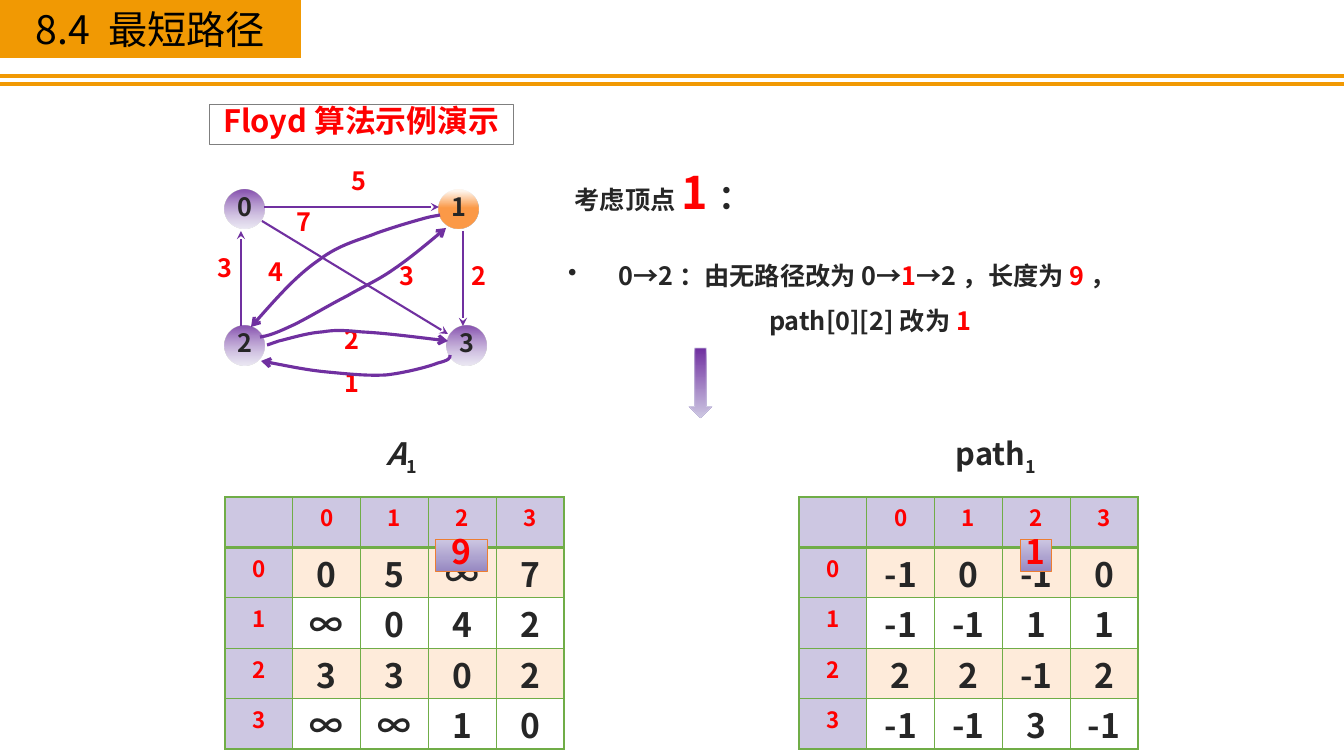
from lxml import etree
from pptx import Presentation
from pptx import util as u
from pptx.dml.color import RGBColor
from pptx.enum import shapes as kinds, text as tx
from pptx.oxml.ns import qn

PX = 12192000 / 1344
FONT = "Noto Sans CJK SC"
RED, INK, PLUM, LILAC = "FF0000", "262626", "7030A0", "CDC7E2"
GOLD, PEACH, GREEN = "F19903", "FC9A48", "70AD47"
NODE = ((5, PLUM, 80), (100, LILAC, 40))
FOCUS = ((5, PEACH, 10), (47, PEACH, 100))
PATCH = ((0, LILAC, 100), (100, "9789C2", 100))
FADE = ((0, PLUM, 100), (100, LILAC, 100))

NODES = [("0", 25, 24, NODE), ("1", 239, 24, FOCUS),
         ("2", 25, 160, NODE), ("3", 247, 160, NODE)]
EDGES = [(64, 41, 239, 41), (41, 160, 41, 65),
         (62, 55, 248, 168), (263, 65, 263, 160)]
COSTS = [("5", 135, 0), ("3", 1, 87), ("2", 255, 95), ("7", 80, 41),
         ("3", 183, 95), ("1", 128, 202), ("2", 128, 159), ("4", 52, 91)]
CURVES = [
    [(250, 189), (250, 192), (250, 194), (238, 197), (228, 201), (204, 207), (186, 209),
     (167, 210), (148, 208), (127, 206), (106, 204), (83, 199), (61, 195)],
    [(67, 179), (68, 179), (70, 178), (79, 175), (88, 173), (107, 167), (122, 166),
     (135, 164), (141, 164), (162, 166), (183, 167), (215, 171), (248, 175)],
    [(240, 49), (236, 50), (232, 50), (222, 53), (211, 56), (194, 61), (177, 67),
     (160, 74), (140, 78), (119, 94), (97, 109), (74, 135), (51, 161)],
    [(60, 171), (67, 170), (74, 168), (89, 161), (103, 155), (129, 139), (147, 130),
     (164, 120), (177, 115), (194, 103), (210, 92), (228, 77), (246, 62)],
]
COST = ["0 5 ∞ 7", "∞ 0 4 2", "3 3 0 2", "∞ ∞ 1 0"]
PREV = ["-1 0 -1 0", "-1 -1 1 1", "2 2 -1 2", "-1 -1 3 -1"]


def px(*nums):
    return [u.Emu(round(n * PX)) for n in nums]


def color(code):
    return RGBColor.from_string(code)


def sub(node, tag, **attrs):
    return etree.SubElement(node, qn(tag), **attrs)


def style(run, size, code, bold=True):
    font = run.font
    font.size, font.bold, font.name = u.Pt(size), bold, FONT
    font.color.rgb = color(code)
    sub(run._r.get_or_add_rPr(), "a:ea", typeface=FONT)


def write(frame, runs, gap=0.8, inset=(10, 5, 10, 5), wrap=True, bold=True):
    frame.word_wrap = wrap
    (frame.margin_left, frame.margin_top,
     frame.margin_right, frame.margin_bottom) = px(*inset)
    para = frame.paragraphs[0]
    para.alignment, para.line_spacing = tx.PP_ALIGN.CENTER, gap
    for words, size, code in runs:
        run = para.add_run()
        run.text = words
        style(run, size, code, bold)
    return para


def label(slide, box, runs, **opts):
    area = slide.shapes.add_textbox(*px(*box))
    return write(area.text_frame, runs, **opts)


def shade(shape, stops):
    shape.fill.gradient()
    shape.fill.gradient_angle = 270
    for stop, (pos, code, alpha) in zip(shape.fill.gradient_stops, stops):
        stop.position = pos / 100
        stop.color.rgb = color(code)
        if alpha < 100:
            tint = stop._gs.find(qn("a:srgbClr"))
            sub(tint, "a:alpha", val=str(alpha * 1000))


def block(slide, kind, box, stops=None, edge=None):
    shape = slide.shapes.add_shape(kind, *px(*box))
    shape.shadow.inherit = False
    if stops:
        shade(shape, stops)
    else:
        shape.fill.background()
    if edge:
        shape.line.color.rgb, shape.line.width = color(edge), u.Pt(0.5)
    else:
        shape.line.fill.background()
    return shape


def stroke(shape, code, width, tip=None):
    shape.line.color.rgb, shape.line.width = color(code), u.Pt(width)
    if tip:
        sub(shape.line._get_or_add_ln(), "a:tailEnd", type=tip)


def link(slide, ends, code, width, tip=None):
    line = slide.shapes.add_connector(kinds.MSO_CONNECTOR.STRAIGHT, *px(*ends))
    stroke(line, code, width, tip)
    sub(line._element.spPr, "a:effectLst")


def bend(slide, left, top, points):
    first, *rest = [(left + x, top + y) for x, y in points]
    maker = slide.shapes.build_freeform(*first, scale=PX)
    maker.add_line_segments(rest, close=False)
    shape = maker.convert_to_shape()
    legs = shape._element.findall(".//" + qn("a:lnTo"))
    for n in range(0, len(legs), 3):
        curve = etree.Element(qn("a:cubicBezTo"))
        legs[n].addprevious(curve)
        for leg in legs[n:n + 3]:
            curve.append(leg[0])
            leg.getparent().remove(leg)
    shape.shadow.inherit = False
    shape.fill.background()
    stroke(shape, PLUM, 2.25, "arrow")


def header(slide):
    for y in (76, 84):
        link(slide, (0, y, 1344, y), GOLD, 3)
    title = slide.shapes.title
    title.left, title.top, title.width, title.height = px(0, 0, 301, 58)
    title.fill.solid()
    title.fill.fore_color.rgb = color(GOLD)
    frame = title.text_frame
    frame.vertical_anchor = tx.MSO_ANCHOR.TOP
    frame.auto_size = tx.MSO_AUTO_SIZE.NONE
    para = write(frame, [("8.4 最短路径", 28, "000000")],
                 inset=(6, 14, 6, 6), bold=False)
    para.space_before = u.Pt(0)


def graph(slide, left, top):
    for name, x, y, stops in NODES:
        disc = block(slide, kinds.MSO_SHAPE.OVAL, (left + x, top + y, 39, 39), stops)
        disc.text_frame.vertical_anchor = tx.MSO_ANCHOR.MIDDLE
        write(disc.text_frame, [(name, 18, INK)], wrap=False)
    for x, y, x2, y2 in EDGES:
        link(slide, (left + x, top + y, left + x2, top + y2), PLUM, 1.5, "stealth")
    for cost, x, y in COSTS:
        label(slide, (left + x, top + y, 47, 34), [(cost, 18, RED)])
    for points in CURVES:
        bend(slide, left, top, points)


def rule(cell, row):
    props = cell._tc.get_or_add_tcPr()
    for n, side in enumerate(("a:lnL", "a:lnR", "a:lnT", "a:lnB")):
        thick = 2 if (row, side) in ((0, "a:lnB"), (1, "a:lnT")) else 1
        line = etree.Element(qn(side), w=str(u.Pt(thick)))
        sub(sub(line, "a:solidFill"), "a:srgbClr", val=GREEN)
        props.insert(n, line)


def matrix(slide, left, top, rows, name, mid, wide, value, span):
    caption = label(slide, (left + mid - wide // 2, top - 63, wide, 40),
                    [(name, 22, INK), ("1", 22, INK)])
    caption.runs[0].font.italic = name == "A"
    caption.runs[1]._r.get_or_add_rPr().set("baseline", "-25000")
    width, height = px(339, 252)
    table = slide.shapes.add_table(5, 5, *px(left, top), width, height).table
    for col in table.columns:
        col.width = width // 5
    grid = [["", *"0123"]] + [[str(n), *row.split()] for n, row in enumerate(rows)]
    for r, words in enumerate(grid):
        table.rows[r].height = height // 5
        for c, word in enumerate(words):
            cell = table.cell(r, c)
            head = r == 0 or c == 0
            if head or r % 2:
                cell.fill.solid()
                cell.fill.fore_color.rgb = color(LILAC if head else "FEEBDA")
            else:
                cell.fill.background()
            rule(cell, r)
            (cell.margin_top, cell.margin_bottom) = px(4 if head else 1, 0)
            cell.text_frame.text = word
            para = cell.text_frame.paragraphs[0]
            para.alignment = tx.PP_ALIGN.CENTER
            for run in para.runs:
                style(run, 16 if head else 24, RED if head else INK)
    patch = block(slide, kinds.MSO_SHAPE.RECTANGLE,
                  (left + 236 - span // 2, top + 42, span, 32), PATCH, "ED7D31")
    patch.text_frame.vertical_anchor = tx.MSO_ANCHOR.TOP
    write(patch.text_frame, [(value, 24, RED)], inset=(0, 0, 0, 0))


def notes(slide, left, top):
    flat = (0, 0, 0, 0)
    label(slide, (left, top, 225, 43),
          [("考虑顶点", 18, INK), ("1", 32, RED), ("：", 24, INK)], inset=flat)
    parts = ["0→2：由无路径改为0→", "1", "→2，长度为", "9", "，path[0][2]改为", "1"]
    runs = [(part, 18, RED if n % 2 else INK) for n, part in enumerate(parts)]
    para = label(slide, (left + 16, top + 70, 556, 92), runs, gap=1.5, inset=flat)
    props = para._p.get_or_add_pPr()
    props.set("marL", "457200")
    props.set("indent", "-457200")
    sub(props, "a:buChar", char="•")
    block(slide, kinds.MSO_SHAPE.DOWN_ARROW, (left + 138, top + 173, 23, 70), FADE, LILAC)


def main():
    deck = Presentation()
    deck.slide_width, deck.slide_height = px(1344, 756)
    slide = deck.slides.add_slide(deck.slide_layouts[5])
    header(slide)
    badge = block(slide, kinds.MSO_SHAPE.RECTANGLE, (209, 104, 304, 40), None, "7F7F7F")
    badge.text_frame.vertical_anchor = tx.MSO_ANCHOR.TOP
    write(badge.text_frame, [("Floyd算法示例演示", 22, RED)])
    graph(slide, 200, 166)
    notes(slide, 551, 175)
    matrix(slide, 225, 497, COST, "A", 176, 71, "9", 52)
    matrix(slide, 799, 497, PREV, "path", 197, 110, "1", 31)
    deck.save("out.pptx")


if __name__ == "__main__":
    main()
